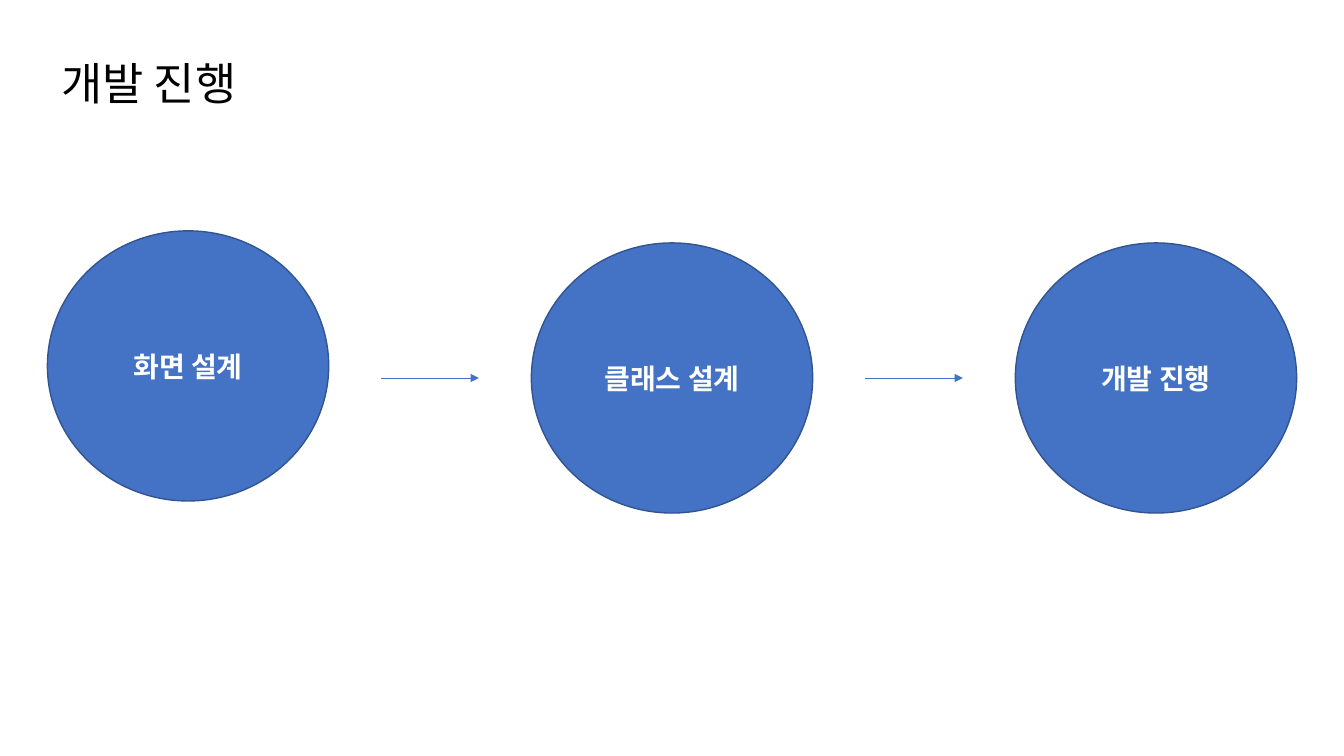
from dataclasses import dataclass

from lxml import etree
from pptx import Presentation
from pptx.dml.color import RGBColor
from pptx.enum.shapes import MSO_CONNECTOR, MSO_SHAPE
from pptx.enum.text import MSO_ANCHOR, MSO_AUTO_SIZE, PP_ALIGN
from pptx.oxml.ns import qn
from pptx.util import Inches, Pt

ELLIPSE, STRAIGHT = MSO_SHAPE.OVAL, MSO_CONNECTOR.STRAIGHT
TOP, MIDDLE = MSO_ANCHOR.TOP, MSO_ANCHOR.MIDDLE
LEFT, CENTER = PP_ALIGN.LEFT, PP_ALIGN.CENTER
GROW, FIXED = MSO_AUTO_SIZE.SHAPE_TO_FIT_TEXT, MSO_AUTO_SIZE.NONE


@dataclass(frozen=True)
class Theme:
    font: str = "Noto Sans CJK KR"
    ink: str = "000000"
    light: str = "FFFFFF"
    accent: str = "4472C4"
    outline: str = "325491"
    title_size: int = 32
    step_size: int = 20
    outline_width: float = 1
    arrow_width: float = 0.5


THEME = Theme()

# Step grid, in inches
COLUMN = 4.8
CIRCLE_W, CIRCLE_H = 2.79, 2.68
ARROW_START, ARROW_LENGTH = 3.31, 0.97

# Each step: label and vertical offset from the row
STEPS = [("화면 설계", -0.12), ("클래스 설계", 0), ("개발 진행", 0)]


def write(shape, text, size, color, bold, align, anchor, fit):
    tf = shape.text_frame
    frame_format = {"word_wrap": True, "auto_size": fit, "vertical_anchor": anchor}
    for name, value in frame_format.items():
        setattr(tf, name, value)
    p = tf.paragraphs[0]
    p.alignment = align
    r = p.add_run()
    r.text = text
    for name, value in {"name": THEME.font, "size": Pt(size), "bold": bold}.items():
        setattr(r.font, name, value)
    r.font.color.rgb = RGBColor.from_string(color)
    # Korean text takes the East Asian typeface
    etree.SubElement(r.font._element, qn("a:ea"), typeface=THEME.font)


def set_line(line, color, width):
    line.color.rgb = RGBColor.from_string(color)
    line.width = Pt(width)


def add_title(s, text, left, top, width, height):
    title = s.shapes.title
    box = {"left": left, "top": top, "width": width, "height": height}
    for name, value in box.items():
        setattr(title, name, Inches(value))
    write(title, text, THEME.title_size, THEME.ink, False, LEFT, TOP, GROW)


def add_circle(s, text, left, top):
    sp = s.shapes.add_shape(ELLIPSE, Inches(left), Inches(top),
                            Inches(CIRCLE_W), Inches(CIRCLE_H))
    sp.shadow.inherit = False
    sp.fill.solid()
    sp.fill.fore_color.rgb = RGBColor.from_string(THEME.accent)
    set_line(sp.line, THEME.outline, THEME.outline_width)
    write(sp, text, THEME.step_size, THEME.light, True, CENTER, MIDDLE, FIXED)


def add_arrow(s, left, y):
    arrow = s.shapes.add_connector(STRAIGHT, Inches(left), Inches(y),
                                   Inches(left + ARROW_LENGTH), Inches(y))
    set_line(arrow.line, THEME.accent, THEME.arrow_width)
    etree.SubElement(arrow.line._get_or_add_ln(), qn("a:tailEnd"), type="triangle")
    etree.SubElement(arrow._element.spPr, qn("a:effectLst"))


def add_process(s, steps, left, top):
    for i, (text, offset) in enumerate(steps):
        x = left + i * COLUMN
        add_circle(s, text, x, top + offset)
        # Arrow to the next step
        if i < len(steps) - 1:
            add_arrow(s, x + ARROW_START, top + CIRCLE_H / 2)


def main():
    prs = Presentation()
    prs.slide_width, prs.slide_height = Inches(13.33), Inches(7.5)
    s = prs.slides.add_slide(prs.slide_layouts[5])
    add_title(s, "개발 진행", 0.51, 0.5, 3.5, 0.64)
    add_process(s, STEPS, 0.47, 2.41)
    prs.save("out.pptx")


if __name__ == "__main__":
    main()
